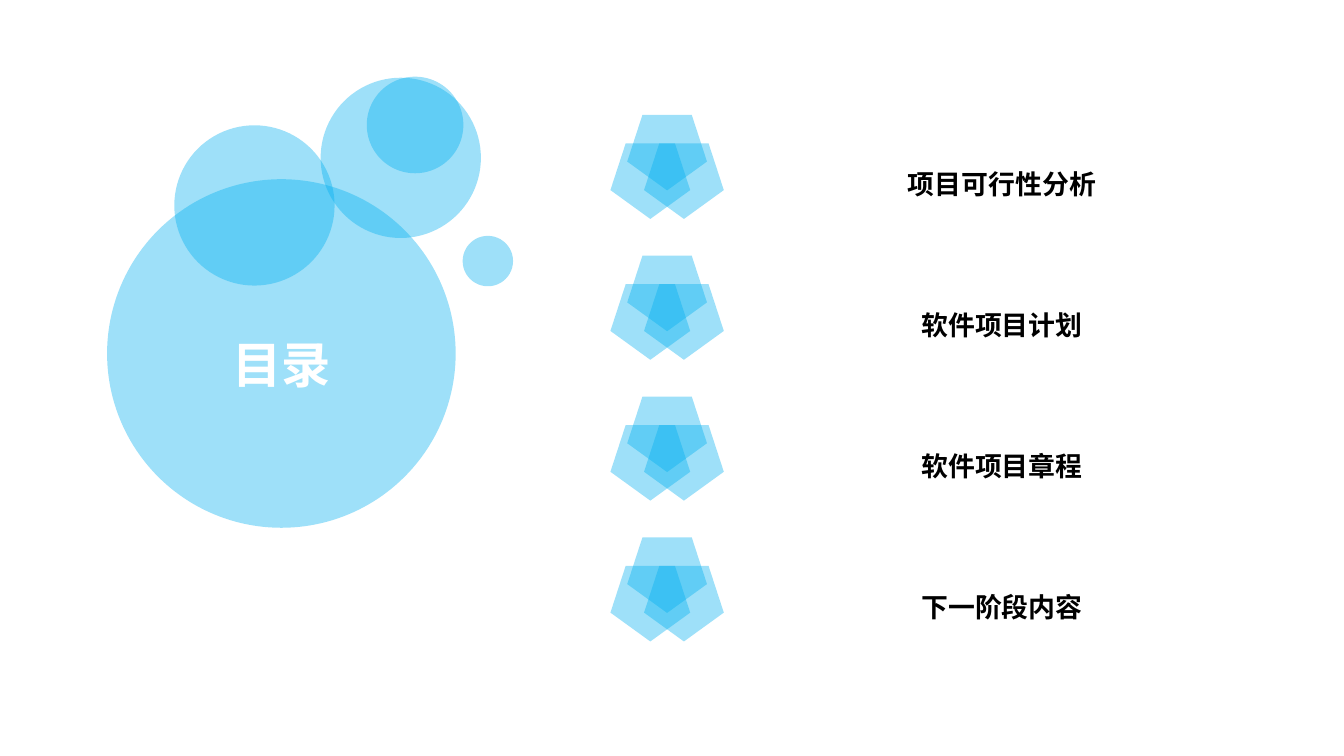
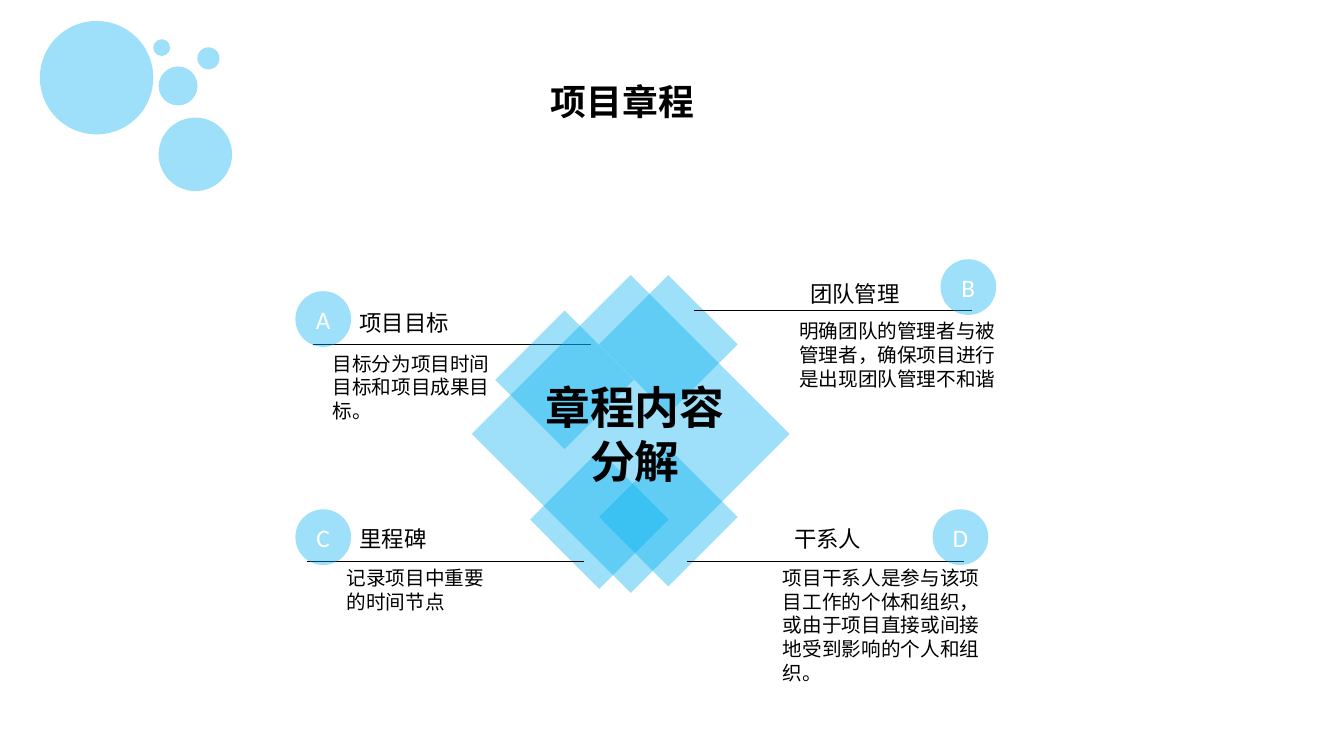
import pptx
import pptx.dml.color
import pptx.enum.shapes
import pptx.enum.text
import pptx.oxml
import pptx.oxml.ns
import pptx.util

Pt = pptx.util.Pt
SHAPE = pptx.enum.shapes.MSO_SHAPE
ALIGN = pptx.enum.text.PP_ALIGN
qn = pptx.oxml.ns.qn

COLORS = {"bubble": "00B0F0", "ink": "000000", "light": "FFFFFF"}
ALPHA = "38000"
HEAD_FONT, BODY_FONT = "Noto Sans CJK SC", "Calibri"
TIGHT = {"margin_left": Pt(5.76), "margin_right": Pt(5.76),
         "margin_top": Pt(2.88), "margin_bottom": Pt(2.88)}

AGENDA = ["项目可行性分析", "软件项目计划", "软件项目章程", "下一阶段内容"]
AGENDA_TOP, AGENDA_STEP = 82, 100.6
PENTAGONS = [(448, 0), (460, 20.4), (436, 20.4)]

# left, top, diameter
COVER_BUBBLES = [(76.5, 128, 249), (124.5, 89.5, 114.5), (229, 55.5, 114.5),
                 (262, 54.8, 69), (330.5, 168.5, 36)]
CORNER_BUBBLES = [(28.5, 15, 81), (109.5, 28, 12), (141, 33.8, 15.8),
                  (113.3, 47.5, 27.8), (113.3, 84, 52.5)]
# left, top
SMALL_DIAMONDS = [(353.8, 221.8), (378.6, 321.6), (427.9, 319.8), (427.9, 196.5)]

ITEMS = [
    {"letter": "A", "disc": (211, 208), "rule": (223.8, 246.2),
     "head": ("项目目标", 249.8, 217.4, 79),
     "body": ("目标分为项目时间目标和项目成果目标。", 230.4, 247.7, 134, 58)},
    {"letter": "B", "disc": (671.8, 185.2), "rule": (496, 221.8),
     "head": ("团队管理", 571.7, 196.6, 79),
     "body": ("明确团队的管理者与被管理者，确保项目进行是出现团队管理不和谐",
              563.8, 224.6, 160.6, 58)},
    {"letter": "C", "disc": (211, 363.8), "rule": (219, 401),
     "head": ("里程碑", 249.8, 371.5, 63),
     "body": ("记录项目中重要的时间节点", 240.5, 401, 124, 41)},
    {"letter": "D", "disc": (666.2, 363.8), "rule": (490.5, 401),
     "head": ("干系人", 560.2, 371.5, 63),
     "body": ("项目干系人是参与该项目工作的个体和组织，或由于项目直接或间接地受到影响的个人和组织。",
              552.2, 401, 159, 92)},
]


def rgb(name):
    return pptx.dml.color.RGBColor.from_string(COLORS[name])


def add_glass(shapes, kind, left, top, width, height):
    """Add a translucent blue shape without an outline."""
    s = shapes.add_shape(kind, Pt(left), Pt(top), Pt(width), Pt(height))
    s.shadow.inherit = False
    s.line.fill.background()
    s.fill.solid()
    s.fill.fore_color.rgb = rgb("bubble")
    clr = s.fill._xPr.find(qn("a:solidFill"))[0]
    clr.append(pptx.oxml.parse_xml(
        '<a:alpha xmlns:a="http://schemas.openxmlformats.org/drawingml/2006/main"'
        f' val="{ALPHA}"/>'))
    return s


def add_bubbles(shapes, bubbles):
    for left, top, size in bubbles:
        add_glass(shapes, SHAPE.OVAL, left, top, size, size)


def write(tf, lines, size, color="ink", face=BODY_FONT, bold=False, caps=False,
          align=ALIGN.LEFT):
    for i, line in enumerate(lines):
        p = tf.add_paragraph() if i else tf.paragraphs[0]
        p.alignment = align
        r = p.add_run()
        r.text = line
        for name, value in {"size": Pt(size), "name": face, "bold": bold}.items():
            setattr(r.font, name, value)
        r.font.color.rgb = rgb(color)
        rPr = r.font._element
        ea = pptx.oxml.parse_xml(
            '<a:ea xmlns:a="http://schemas.openxmlformats.org/drawingml/2006/main"'
            f' typeface="{face}"/>')
        rPr.find(qn("a:latin")).addnext(ea)
        if caps:
            rPr.set("cap", "small")


def add_text(shapes, lines, left, top, width, height, size, wrap=False,
             margins=None, **style):
    s = shapes.add_textbox(Pt(left), Pt(top), Pt(width), Pt(height))
    tf = s.text_frame
    tf.word_wrap = wrap
    tf.auto_size = pptx.enum.text.MSO_AUTO_SIZE.SHAPE_TO_FIT_TEXT
    for name, value in (margins or {}).items():
        setattr(tf, name, value)
    write(tf, lines, size, **style)


def add_heading(shapes, text, center, top, size, color="ink"):
    """Add a bold small-caps line centred on a given x."""
    width = len(text) * size + 13
    add_text(shapes, [text], center - width / 2, top, width, size * 1.2 + 5.76,
             size, margins=TIGHT, color=color, face=HEAD_FONT, bold=True,
             caps=True, align=ALIGN.CENTER)


def add_rule(shapes, left, top, length=198.4):
    s = shapes.add_connector(pptx.enum.shapes.MSO_CONNECTOR.STRAIGHT,
                             Pt(left), Pt(top), Pt(left + length), Pt(top))
    s.line.color.rgb = rgb("ink")
    s.line.width = Pt(0.5)
    s._element.spPr.append(pptx.oxml.parse_xml(
        '<a:effectLst xmlns:a="http://schemas.openxmlformats.org/drawingml/2006/main"/>'))


def add_item(shapes, item):
    """Add a lettered disc with its rule, heading and description."""
    add_rule(shapes, *item["rule"])
    disc = add_glass(shapes, SHAPE.FLOWCHART_CONNECTOR, *item["disc"], 39.8, 39.8)
    disc.text_frame.vertical_anchor = pptx.enum.text.MSO_ANCHOR.MIDDLE
    write(disc.text_frame, [item["letter"]], 18, color="light", align=ALIGN.CENTER)
    head, left, top, width = item["head"]
    add_text(shapes, [head], left, top, width, 26.6, 16)
    body, *box = item["body"]
    add_text(shapes, [body], *box, 14, wrap=True)


def build_agenda(shapes):
    for i, text in enumerate(AGENDA):
        top = AGENDA_TOP + i * AGENDA_STEP
        group = shapes.add_group_shape()
        for left, drop in PENTAGONS:
            s = add_glass(group.shapes, SHAPE.REGULAR_PENTAGON, left, top + drop, 57, 54)
            s.rotation = 180
        add_heading(shapes, text, 715.7, top + 30.3, 24)
    add_bubbles(shapes, COVER_BUBBLES)
    add_heading(shapes, "目录", 201.3, 226.8, 44, color="light")


def build_charter(shapes):
    add_bubbles(shapes, CORNER_BUBBLES)
    add_heading(shapes, "项目章程", 444.6, 47.5, 32)
    first, *others = ITEMS
    add_item(shapes, first)
    for left, top in SMALL_DIAMONDS:
        add_glass(shapes, SHAPE.DIAMOND, left, top, 99, 99)
    for item in others:
        add_item(shapes, item)
    add_glass(shapes, SHAPE.DIAMOND, 337, 196.5, 227, 227)
    add_text(shapes, ["章程内容", "分解"], 381.6, 267.8, 144, 85, 32,
             bold=True, align=ALIGN.CENTER)


def main():
    prs = pptx.Presentation()
    prs.slide_width, prs.slide_height = Pt(960), Pt(540)
    for build in (build_agenda, build_charter):
        build(prs.slides.add_slide(prs.slide_layouts[6]).shapes)
    prs.save("out.pptx")


if __name__ == "__main__":
    main()
